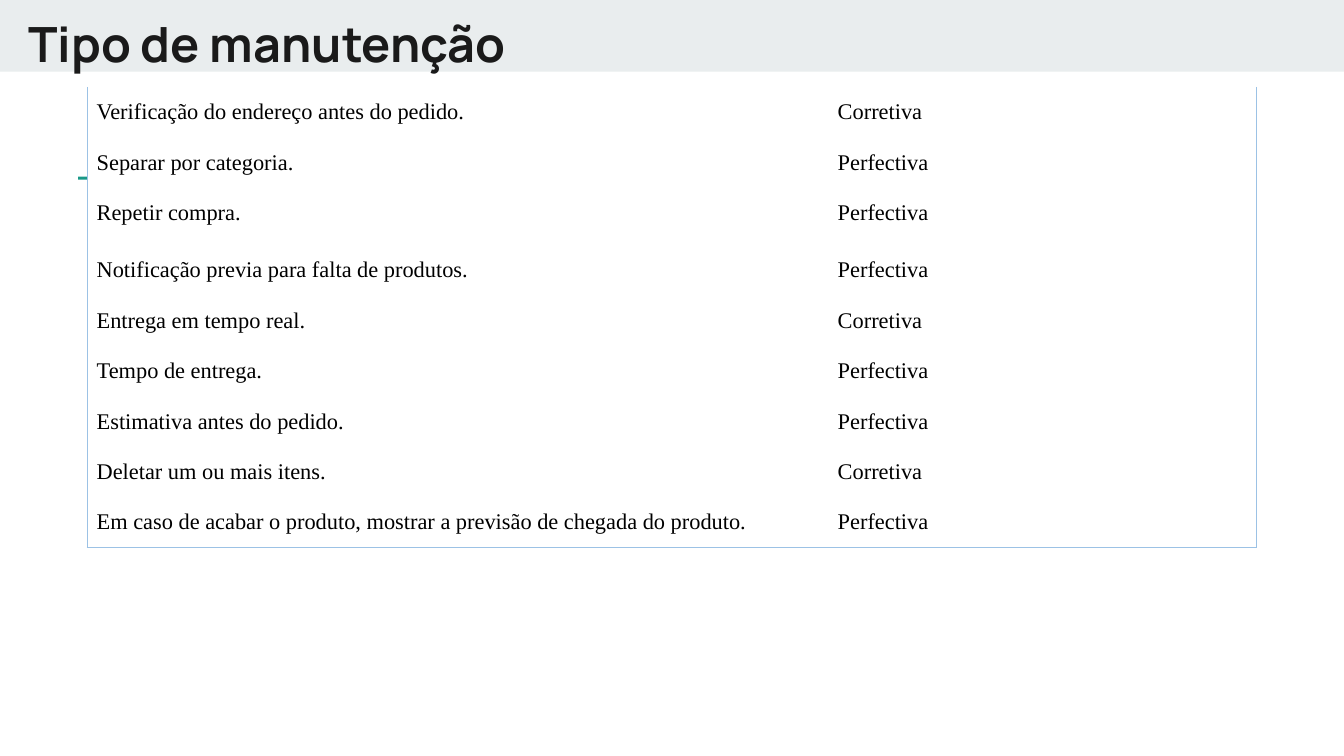
from lxml import etree
from pptx import Presentation
from pptx.dml.color import RGBColor
from pptx.enum import shapes, text
from pptx.oxml import ns
from pptx.util import Pt

COLORS = {
    "band": "E9EDEE",
    "accent": "1A9988",
    "title": "1A1A1A",
    "text": "000000",
    "cell": "FFFFFF",
    "border": "9CC2E5",
}
REQUESTS = [
    ("Verificação do endereço antes do pedido.", "Corretiva"),
    ("Separar por categoria.", "Perfectiva"),
    ("Repetir compra.", "Perfectiva"),
    ("Notificação previa para falta de produtos.", "Perfectiva"),
    ("Entrega em tempo real.", "Corretiva"),
    ("Tempo de entrega.", "Perfectiva"),
    ("Estimativa antes do pedido.", "Perfectiva"),
    ("Deletar um ou mais itens.", "Corretiva"),
    ("Em caso de acabar o produto, mostrar a previsão de chegada do produto.",
     "Perfectiva"),
]
COLUMN_WIDTHS = (397, 229.4)
ROW_HEIGHT = 27.05
TALL_ROW, TALL_HEIGHT = 2, 30.5


def color(name):
    return RGBColor.from_string(COLORS[name])


def style_font(para, face, size, name, bold=False):
    para.font.name = face
    para.font.size = Pt(size)
    para.font.bold = bold
    para.font.color.rgb = color(name)


def add_bar(page, left, top, width, height, name):
    bar = page.shapes.add_shape(shapes.MSO_SHAPE.RECTANGLE, Pt(left), Pt(top),
                                Pt(width), Pt(height))
    bar.shadow.inherit = False
    bar.fill.solid()
    bar.fill.fore_color.rgb = color(name)
    bar.line.fill.background()


def add_title(page, words):
    box = page.shapes.add_textbox(Pt(8.1), Pt(0.3), Pt(468.7), Pt(46))
    frame = box.text_frame
    frame.word_wrap = True
    frame.margin_left = frame.margin_right = Pt(7.2)
    frame.margin_top = frame.margin_bottom = Pt(7.2)
    para = frame.paragraphs[0]
    para.text = words
    style_font(para, "Manrope", 26, "title", bold=True)


def set_borders(cell, visible):
    """Draw the sides named in visible and clear the others."""
    properties = cell._tc.get_or_add_tcPr()
    for side in "LRTB":
        line = etree.SubElement(properties, ns.qn(f"a:ln{side}"), w=str(Pt(1)))
        if side in visible:
            fill = etree.SubElement(line, ns.qn("a:solidFill"))
            etree.SubElement(fill, ns.qn("a:srgbClr"), val=COLORS["border"])
        else:
            etree.SubElement(line, ns.qn("a:noFill"))


def fill_cell(cell, words, visible):
    set_borders(cell, visible)
    cell.fill.solid()
    cell.fill.fore_color.rgb = color("cell")
    cell.margin_left = cell.margin_right = Pt(5)
    cell.margin_top = cell.margin_bottom = Pt(5)
    cell.vertical_anchor = text.MSO_ANCHOR.TOP
    para = cell.text_frame.paragraphs[0]
    para.text = words
    para.line_spacing = 1.15
    para.space_before = Pt(12)
    style_font(para, "Times New Roman", 12, "text")


def add_requests_table(page):
    heights = [ROW_HEIGHT] * len(REQUESTS)
    heights[TALL_ROW] = TALL_HEIGHT
    table = page.shapes.add_table(
        len(REQUESTS), len(COLUMN_WIDTHS), Pt(46.8), Pt(46.5),
        Pt(sum(COLUMN_WIDTHS)), Pt(sum(heights))).table
    table.first_row = table.horz_banding = False
    for column, width in zip(table.columns, COLUMN_WIDTHS):
        column.width = Pt(width)
    for row, height in zip(table.rows, heights):
        row.height = Pt(height)
    for index, request in enumerate(REQUESTS):
        bottom = "B" if index == len(REQUESTS) - 1 else ""
        for column, (words, side) in enumerate(zip(request, "LR")):
            fill_cell(table.cell(index, column), words, side + bottom)


def main():
    deck = Presentation()
    deck.slide_width, deck.slide_height = Pt(720), Pt(405)
    page = deck.slides.add_slide(deck.slide_layouts[6])
    add_bar(page, 0, 0, 720, 38.4, "band")
    add_bar(page, 41.8, 94.7, 53.2, 1.6, "accent")
    add_title(page, "Tipo de manutenção")
    add_requests_table(page)
    deck.save("out.pptx")


if __name__ == "__main__":
    main()
